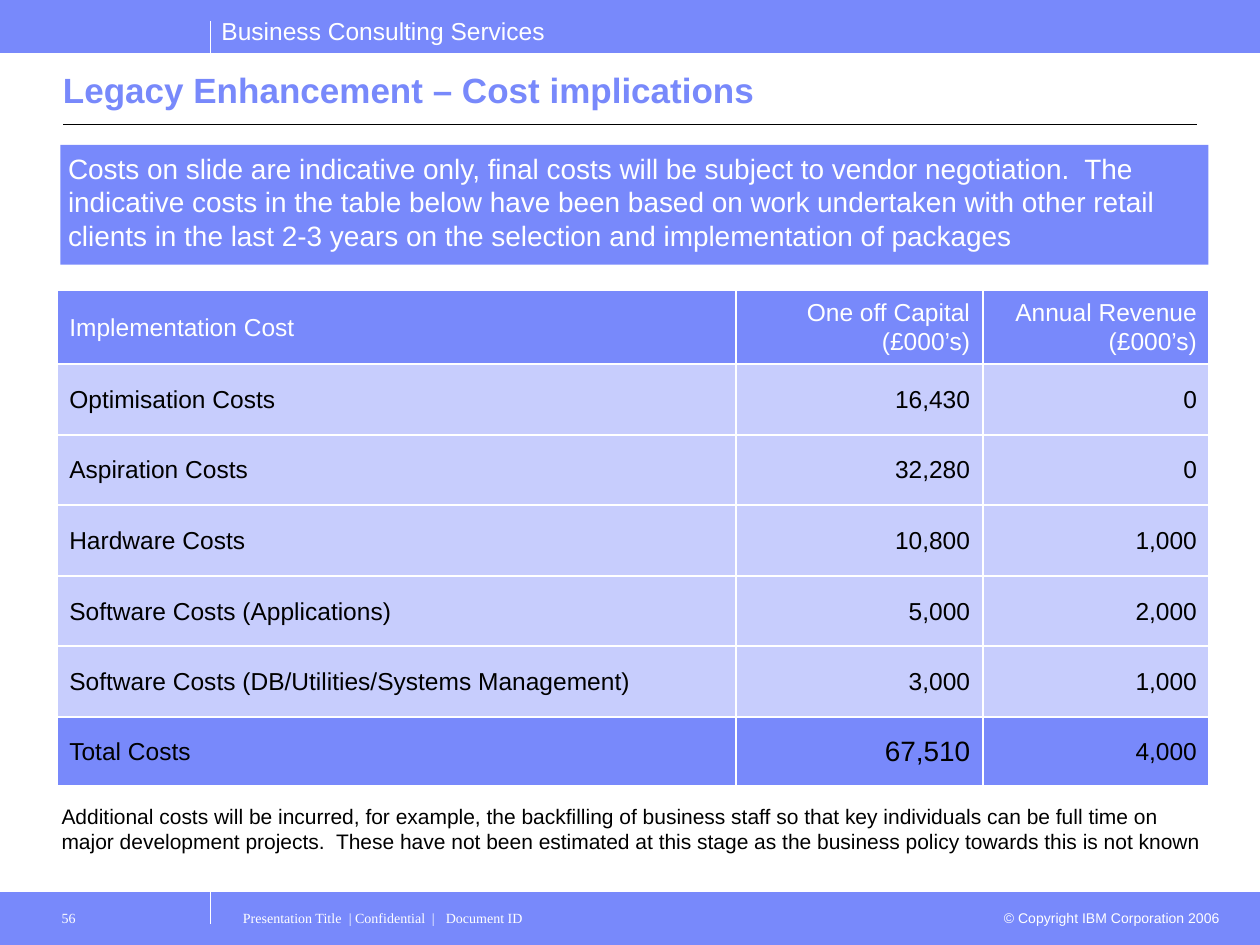
import pptx
import pptx.dml.color
import pptx.enum.shapes
import pptx.enum.text
import pptx.oxml.ns
import pptx.util
from lxml import etree
from pptx.util import Inches

COLORS = {
    "blue": "7889FB",
    "pale": "C7CDFD",
    "white": "FFFFFF",
    "black": "000000",
}
ALIGN = pptx.enum.text.PP_ALIGN
ANCHOR = pptx.enum.text.MSO_ANCHOR

COST_ROWS = [
    ("Implementation Cost", "One off Capital (£000’s)", "Annual Revenue (£000’s)"),
    ("Optimisation Costs", "16,430", "0"),
    ("Aspiration Costs", "32,280", "0"),
    ("Hardware Costs", "10,800", "1,000"),
    ("Software Costs (Applications)", "5,000", "2,000"),
    ("Software Costs (DB/Utilities/Systems Management)", "3,000", "1,000"),
    ("Total Costs", "67,510", "4,000"),
]
COLUMN_WIDTHS = [5.39, 1.96, 1.8]
ROW_HEIGHTS = [0.59] + [0.56] * 5 + [0.55]


def rgb(name):
    return pptx.dml.color.RGBColor.from_string(COLORS[name])


def add_element(parent, tag, **attributes):
    return etree.SubElement(parent, pptx.oxml.ns.qn(tag), attributes)


def write_text(frame, text, size, color, font="Arial", bold=False,
               align=ALIGN.LEFT, tabs=()):
    para = frame.paragraphs[0]
    para.alignment = align
    if tabs:
        tab_list = add_element(para._p.get_or_add_pPr(), "a:tabLst")
        for position in tabs:
            add_element(tab_list, "a:tab", pos=str(Inches(position)), algn="l")
    span = para.add_run()
    span.text = text
    span.font.name = font
    span.font.size = pptx.util.Pt(size)
    span.font.bold = bold
    span.font.color.rgb = rgb(color)
    return para


def set_margins(frame, left=0.1, top=0.05, right=0.1):
    frame.margin_left = Inches(left)
    frame.margin_top = Inches(top)
    frame.margin_right = Inches(right)
    frame.margin_bottom = Inches(0.05)


def add_text(page, place, text, size, color, margins=(0.1, 0.05, 0.1),
             wrap=True, anchor=ANCHOR.TOP, **style):
    box = page.shapes.add_textbox(*map(Inches, place))
    frame = box.text_frame
    frame.word_wrap = wrap
    frame.vertical_anchor = anchor
    set_margins(frame, *margins)
    write_text(frame, text, size, color, **style)


def add_panel(page, place):
    panel = page.shapes.add_shape(
        pptx.enum.shapes.MSO_SHAPE.RECTANGLE, *map(Inches, place))
    panel.shadow.inherit = False
    panel.fill.solid()
    panel.fill.fore_color.rgb = rgb("blue")
    panel.line.fill.background()
    return panel


def add_rule(page, start, end, color):
    rule = page.shapes.add_connector(
        pptx.enum.shapes.MSO_CONNECTOR.STRAIGHT, *map(Inches, start + end))
    rule.line.color.rgb = rgb(color)
    rule.line.width = pptx.util.Pt(0.75)
    add_element(rule._element.spPr, "a:effectLst")


def fill_cell(cell, text, size, color, fill, align):
    """Write one table cell with white borders on every side."""
    cell.vertical_anchor = ANCHOR.MIDDLE
    set_margins(cell)
    para = write_text(cell.text_frame, text, size, color, align=align)
    para.line_spacing = 1.04
    properties = cell._tc.get_or_add_tcPr()
    for side in ("a:lnL", "a:lnR", "a:lnT", "a:lnB"):
        border = add_element(properties, side, w=str(pptx.util.Pt(1.47)))
        paint = add_element(border, "a:solidFill")
        add_element(paint, "a:srgbClr", val=COLORS["white"])
    cell.fill.solid()
    cell.fill.fore_color.rgb = rgb(fill)


def add_cost_table(page):
    frame = page.shapes.add_table(
        len(COST_ROWS), len(COLUMN_WIDTHS), Inches(0.45), Inches(2.3),
        Inches(sum(COLUMN_WIDTHS)), Inches(sum(ROW_HEIGHTS)))
    table = frame.table
    for column, width in zip(table.columns, COLUMN_WIDTHS):
        column.width = Inches(width)
    for row, height in zip(table.rows, ROW_HEIGHTS):
        row.height = Inches(height)
    last = len(COST_ROWS) - 1
    for r, texts in enumerate(COST_ROWS):
        for c, text in enumerate(texts):
            fill_cell(
                table.cell(r, c), text,
                size=16 if (r, c) == (last, 1) else 14,
                color="white" if r == 0 else "black",
                fill="blue" if r in (0, last) else "pale",
                align=ALIGN.RIGHT if c else ALIGN.LEFT)


def add_bands(page):
    """Draw the header and footer bands with their dividers and labels."""
    for top, divider_top in ((0, 0.17), (7.08, 7.08)):
        add_panel(page, (0, top, 10, 0.42))
        add_rule(page, (1.67, divider_top), (1.67, divider_top + 0.25), "white")
    add_text(page, (1.66, 0.08, 2.77, 0.34), "Business Consulting Services",
             14, "white", wrap=False)
    add_text(page, (7.83, 7.17, 1.95, 0.24), "© Copyright IBM Corporation 2006",
             8, "white", align=ALIGN.RIGHT)
    add_text(page, (1.83, 7.15, 6, 0.35),
             "Presentation Title\t| Confidential\t|\tDocument ID", 8, "white",
             margins=(0.1, 0.07, 0.1), font="Times New Roman",
             tabs=(0.84, 1.5, 1.61))
    add_text(page, (0.33, 7.15, 1.33, 0.35), "56", 8, "white",
             margins=(0.16, 0.07, 0.1), font="Times New Roman")


def main():
    deck = pptx.Presentation()
    deck.slide_width = Inches(10)
    deck.slide_height = Inches(7.5)
    page = deck.slides.add_slide(deck.slide_layouts[6])

    add_bands(page)
    add_text(page, (0.5, 0.51, 9, 0.4), "Legacy Enhancement – Cost implications",
             20, "blue", margins=(0, 0.05, 0), anchor=ANCHOR.MIDDLE, bold=True)
    add_rule(page, (0.5, 0.99), (9.5, 0.99), "black")

    notice = add_panel(page, (0.48, 1.15, 9.11, 0.95)).text_frame
    notice.word_wrap = True
    notice.vertical_anchor = ANCHOR.TOP
    set_margins(notice, left=0.06, right=0.06)
    write_text(
        notice,
        "Costs on slide are indicative only, final costs will be subject to "
        "vendor negotiation.  The indicative costs in the table below have been "
        "based on work undertaken with other retail clients in the last 2-3 "
        "years on the selection and implementation of packages", 16, "white")

    add_cost_table(page)
    add_text(
        page, (0.39, 6.33, 9.3, 0.5),
        "Additional costs will be incurred, for example, the backfilling of "
        "business staff so that key individuals can be full time on major "
        "development projects.  These have not been estimated at this stage as "
        "the business policy towards this is not known", 12, "black")
    deck.save("out.pptx")


if __name__ == "__main__":
    main()
